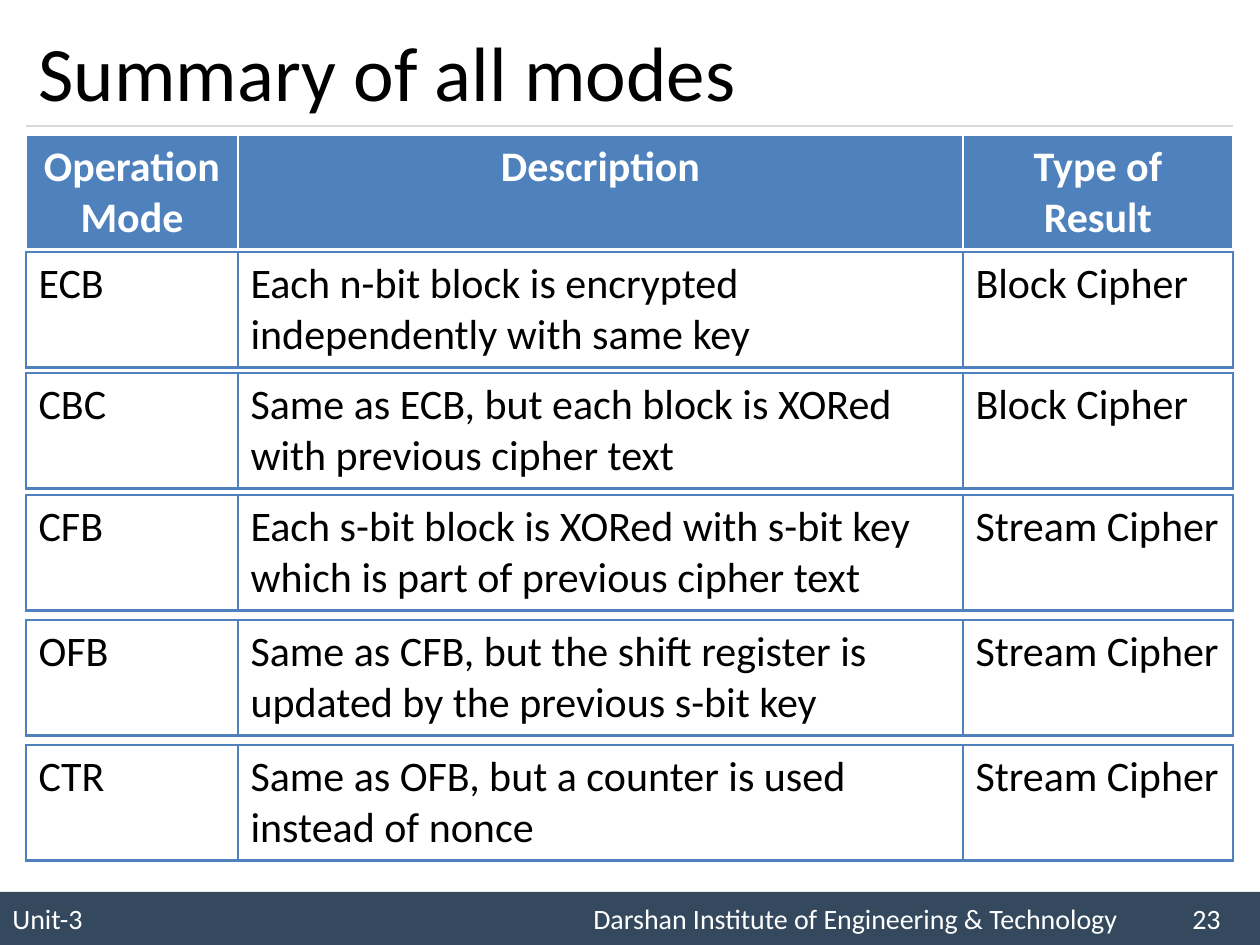
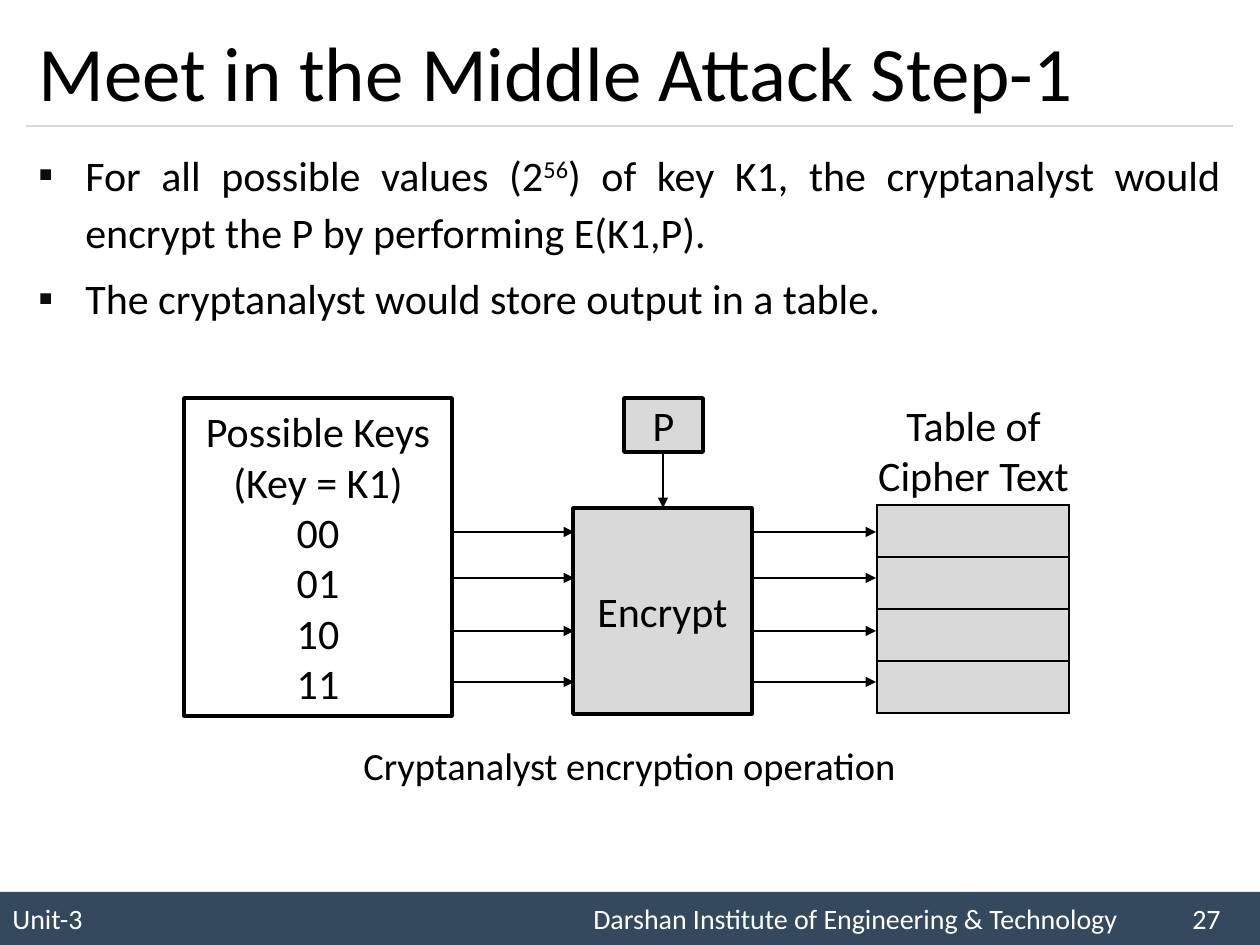
from pptx import Presentation
from pptx import util as u
from pptx.dml import color
from pptx.enum import shapes, text
from pptx.oxml import parse_xml
from pptx.oxml import ns

PX = 914400 / 126
FONT = "Calibri"
COLORS = {
    "ink": "000000", "paper": "FFFFFF", "band": "34495E", "rule": "D9D9D9",
    "accent": "4F81BD", "box": "D9D9D9", "bullet": "0D0D0D",
}
LEFT, WIDTH, RIGHT = 26, 1207, 1233
MODE_COLUMNS = (212, 725, 270)
ROW_HEIGHT = 115
MODES = [
    (252, "ECB", "Each n-bit block is encrypted independently with same key", "Block Cipher"),
    (373, "CBC", "Same as ECB, but each block is XORed with previous cipher text", "Block Cipher"),
    (495, "CFB", "Each s-bit block is XORed with s-bit key which is part of previous cipher text",
     "Stream Cipher"),
    (620, "OFB", "Same as CFB, but the shift register is updated by the previous s-bit key",
     "Stream Cipher"),
    (745, "CTR", "Same as OFB, but a counter is used instead of nonce", "Stream Cipher"),
]


def px(value):
    return u.Emu(round(value * PX))


def rgb(name):
    return color.RGBColor.from_string(COLORS[name])


def element(xml):
    tag_end = min(i for i in (xml.find(" "), xml.find("/"), xml.find(">")) if i > 0)
    return parse_xml(f"{xml[:tag_end]} {ns.nsdecls('a')}{xml[tag_end:]}")


def add_run(paragraph, words, size=24, ink="ink", bold=False, raised=False):
    run = paragraph.add_run()
    run.text = words
    run.font.name = FONT
    run.font.size = u.Pt(size)
    run.font.bold = bold
    run.font.color.rgb = rgb(ink)
    if raised:
        run._r.get_or_add_rPr().set("baseline", "30000")


def write_lines(frame, lines, align, **style):
    for i, words in enumerate(lines):
        paragraph = frame.add_paragraph() if i else frame.paragraphs[0]
        paragraph.alignment = align
        add_run(paragraph, words, **style)


def add_line(slide, start, end, ink, weight, arrow=False):
    line = slide.shapes.add_connector(
        shapes.MSO_CONNECTOR.STRAIGHT, *map(px, start), *map(px, end))
    line.line.color.rgb = rgb(ink)
    line.line.width = u.Pt(weight)
    if arrow:
        line.line._get_or_add_ln().append(element('<a:tailEnd type="triangle"/>'))
    line._element.spPr.append(element("<a:effectLst/>"))


def add_box(slide, bounds, fill, outline=None):
    box = slide.shapes.add_shape(shapes.MSO_SHAPE.RECTANGLE, *map(px, bounds))
    box.shadow.inherit = False
    box.fill.solid()
    box.fill.fore_color.rgb = rgb(fill)
    if outline:
        box.line.color.rgb = rgb(outline)
        box.line.width = u.Pt(2)
    else:
        box.line.fill.background()
    box.text_frame.vertical_anchor = text.MSO_ANCHOR.MIDDLE
    return box


def add_labelled_box(slide, bounds, fill, lines):
    box = add_box(slide, bounds, fill, "ink")
    write_lines(box.text_frame, lines, text.PP_ALIGN.CENTER)


def add_textbox(slide, bounds):
    frame = slide.shapes.add_textbox(*map(px, bounds)).text_frame
    frame.word_wrap = True
    return frame


def add_caption(slide, bounds, words, size=24):
    write_lines(add_textbox(slide, bounds), [words], text.PP_ALIGN.CENTER, size=size)


def add_bullets(slide, bounds, items):
    frame = add_textbox(slide, bounds)
    for i, parts in enumerate(items):
        paragraph = frame.add_paragraph() if i else frame.paragraphs[0]
        properties = paragraph._p.get_or_add_pPr()
        properties.set("marL", str(px(47)))
        properties.set("indent", str(-px(47)))
        properties.append(element(
            f'<a:buClr><a:srgbClr val="{COLORS["bullet"]}"/></a:buClr>'))
        properties.append(element(f'<a:buFont typeface="{FONT}"/>'))
        properties.append(element('<a:buChar char="▪"/>'))
        paragraph.alignment = text.PP_ALIGN.JUSTIFY
        paragraph.line_spacing = 1.14
        if i:
            paragraph.space_before = u.Pt(4.8)
        for words, raised in parts:
            add_run(paragraph, words, raised=raised)


def add_grid(slide, left, top, columns, row_height, rows, fill, border, weight, bottom):
    grid = slide.shapes.add_table(
        rows, len(columns), px(left), px(top), px(sum(columns)), px(row_height * rows)).table
    grid.first_row = grid.horz_banding = False
    for column, width in zip(grid.columns, columns):
        column.width = px(width)
    for row in grid.rows:
        row.height = px(row_height)
    for cell in grid.iter_cells():
        properties = cell._tc.get_or_add_tcPr()
        for side in "LRTB":
            points = bottom if side == "B" else weight
            properties.append(element(
                f'<a:ln{side} w="{u.Pt(points)}"><a:solidFill>'
                f'<a:srgbClr val="{COLORS[border]}"/></a:solidFill></a:ln{side}>'))
        if fill:
            cell.fill.solid()
            cell.fill.fore_color.rgb = rgb(fill)
        else:
            cell.fill.background()
    return grid


def add_mode_row(slide, top, entries, header=False):
    if header:
        grid = add_grid(slide, LEFT, top, MODE_COLUMNS, ROW_HEIGHT - 2, 1,
                        "accent", "paper", 1, 3)
    else:
        grid = add_grid(slide, LEFT, top, MODE_COLUMNS, ROW_HEIGHT, 1, None, "accent", 1, 2)
    align = text.PP_ALIGN.CENTER if header else text.PP_ALIGN.LEFT
    for cell, lines in zip(grid.iter_cells(), entries):
        write_lines(cell.text_frame, lines, align, bold=header,
                    ink="paper" if header else "ink")


def add_footer(slide, number):
    band = add_box(slide, (0, 892, 1260, 53), "band")
    paragraph = band.text_frame.paragraphs[0]
    paragraph.alignment = text.PP_ALIGN.LEFT
    stops = "".join(f'<a:tab pos="{px(stop)}" algn="l"/>' for stop in (581, 1180))
    paragraph._p.get_or_add_pPr().append(element(f"<a:tabLst>{stops}</a:tabLst>"))
    add_run(paragraph, f"Unit-3\tDarshan Institute of Engineering & Technology\t{number}",
            size=16, ink="paper")


def start_slide(deck, heading, number):
    slide = deck.slides.add_slide(deck.slide_layouts[5])
    add_footer(slide, number)
    add_line(slide, (LEFT, 126), (RIGHT, 126), "rule", 0.75)
    title = slide.shapes.title
    title.left, title.top, title.width, title.height = map(px, (LEFT, 15, WIDTH, 111))
    frame = title.text_frame
    frame.auto_size = text.MSO_AUTO_SIZE.NONE
    frame.vertical_anchor = text.MSO_ANCHOR.MIDDLE
    write_lines(frame, [heading], text.PP_ALIGN.LEFT, size=44)
    return slide


def build_summary(deck):
    slide = start_slide(deck, "Summary of all modes", 23)
    add_mode_row(slide, 135, (["Operation", "Mode"], ["Description"], ["Type of Result"]),
                 header=True)
    for top, *entries in MODES:
        add_mode_row(slide, top, [[entry] for entry in entries])


def build_attack(deck):
    slide = start_slide(deck, "Meet in the Middle Attack Step-1", 27)
    add_bullets(slide, (LEFT, 136, WIDTH, 207), [
        [("For all possible values (2", False), ("56", True),
         (") of key K1, the cryptanalyst would encrypt the P by performing E(K1,P).", False)],
        [("The cryptanalyst would store output in a table.", False)],
    ])
    add_grid(slide, 877, 505, (192,), 52, 4, "box", "ink", 1, 1)
    add_labelled_box(slide, (184, 398, 268, 318), "paper",
                     ["Possible Keys", "(Key = K1)", "00", "01", "10", "11"])
    add_labelled_box(slide, (573, 508, 179, 206), "box", ["Encrypt"])
    add_labelled_box(slide, (624, 398, 79, 54), "box", ["P"])
    add_line(slide, (663, 452), (663, 508), "ink", 1.5, arrow=True)
    for y in (532, 578, 631, 682):
        for start, end in ((452, 574), (752, 876)):
            add_line(slide, (start, y), (end, y), "ink", 1.5, arrow=True)
    add_caption(slide, (857, 393, 233, 115), "Table of Cipher Text")
    add_caption(slide, (350, 736, 559, 59), "Cryptanalyst encryption operation", size=22)


def main():
    deck = Presentation()
    deck.slide_width, deck.slide_height = px(1260), px(945)
    build_summary(deck)
    build_attack(deck)
    deck.save("out.pptx")


if __name__ == "__main__":
    main()
